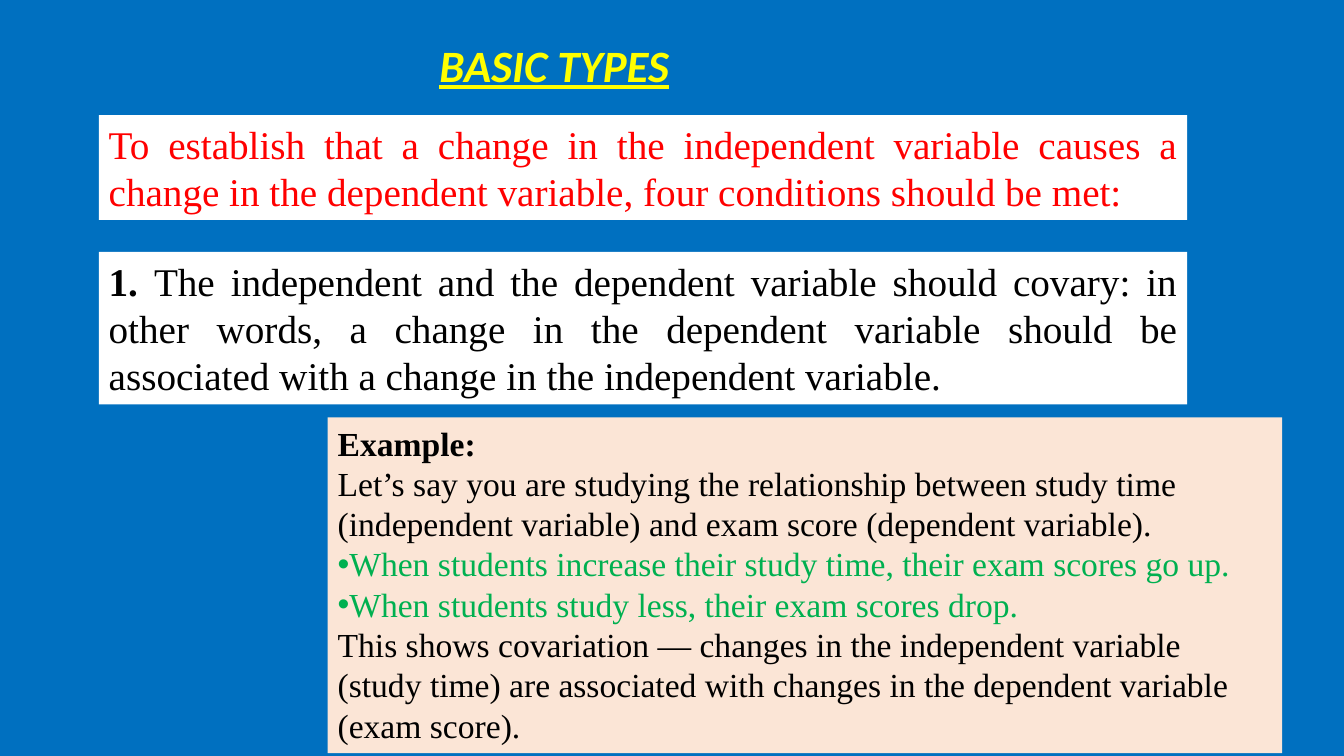
from dataclasses import dataclass
from typing import Optional

from lxml import etree
from pptx import Presentation
from pptx import util as u
from pptx.dml.color import RGBColor
from pptx.enum import shapes, text
from pptx.oxml import ns

BLUE = RGBColor(0x00, 0x70, 0xC0)
YELLOW = RGBColor(0xFF, 0xFF, 0x00)
WHITE = RGBColor(0xFF, 0xFF, 0xFF)
PEACH = RGBColor(0xFB, 0xE5, 0xD6)
RED = RGBColor(0xFF, 0x00, 0x00)
BLACK = RGBColor(0x00, 0x00, 0x00)
GREEN = RGBColor(0x00, 0xB0, 0x50)
ALIGN = text.PP_ALIGN
SERIF = "Times New Roman"


@dataclass
class Run:
    words: str
    color: RGBColor = BLACK
    bold: bool = False
    slant: bool = False
    line: bool = False
    face: str = SERIF
    ends: bool = False


@dataclass
class Para:
    runs: list[Run]
    dot: bool = False


@dataclass
class Panel:
    left: float
    top: float
    width: float
    height: float
    size: int
    paras: list[Para]
    fill: Optional[RGBColor] = WHITE
    align: ALIGN = ALIGN.JUSTIFY
    space: float = 1.0
    anchor: text.MSO_ANCHOR = text.MSO_ANCHOR.TOP


PANELS = [
    Panel(2.82, 0.97, 22.3, 1.5, 32,
          [Para([Run("BASIC TYPES", YELLOW, True, True, True, "Calibri")])],
          None, ALIGN.CENTER, 0.9, text.MSO_ANCHOR.MIDDLE),
    Panel(2.49, 2.9, 27.43, 2.64, 28, [Para([Run(
        "To establish that a change in the independent variable causes "
        "a change in the dependent variable, four conditions should be met:",
        RED)])]),
    Panel(2.49, 6.35, 27.43, 3.84, 28, [Para([
        Run("1. ", bold=True),
        Run("The independent and the dependent variable should covary: in "
            "other words, a change in the dependent variable should be "
            "associated with a change in the independent variable.")])]),
    Panel(8.26, 10.52, 24.05, 8.46, 24, [
        Para([Run("Example:", bold=True, ends=True),
              Run("Let’s say you are studying the relationship between study "
                  "time (independent variable) and exam score (dependent "
                  "variable).")]),
        Para([Run("When students increase their study time, their exam "
                  "scores go up.", GREEN)], True),
        Para([Run("When students study less, their exam scores drop.",
                  GREEN)], True),
        Para([Run("This shows covariation — changes in the independent "
                  "variable (study time) are associated with changes in the "
                  "dependent variable (exam score).")])],
        PEACH, ALIGN.LEFT),
]


def add_dot(para) -> None:
    props = para._p.get_or_add_pPr()
    etree.SubElement(props, ns.qn("a:buFont")).set("typeface", "Arial")
    etree.SubElement(props, ns.qn("a:buChar")).set("char", "•")


def add_run(para, item: Run, size: int) -> None:
    run = para.add_run()
    run.text = item.words
    font = run.font
    font.name, font.size = item.face, u.Pt(size)
    font.bold, font.italic, font.underline = item.bold, item.slant, item.line
    font.color.rgb = item.color
    if item.ends:
        para.add_line_break()


def add_panel(slide, panel: Panel) -> None:
    spot = [u.Cm(n) for n in (panel.left, panel.top, panel.width, panel.height)]
    if panel.fill is None:
        shape = slide.shapes.add_textbox(*spot)
    else:
        shape = slide.shapes.add_shape(shapes.MSO_SHAPE.RECTANGLE, *spot)
        shape.shadow.inherit = False
        shape.fill.solid()
        shape.fill.fore_color.rgb = panel.fill
        shape.line.fill.background()
    frame = shape.text_frame
    frame.word_wrap = True
    frame.vertical_anchor = panel.anchor
    for i, item in enumerate(panel.paras):
        para = frame.add_paragraph() if i else frame.paragraphs[0]
        if item.dot:
            add_dot(para)
        para.alignment = panel.align
        para.line_spacing = panel.space
        for run in item.runs:
            add_run(para, run, panel.size)


def main() -> None:
    deck = Presentation()
    deck.slide_width, deck.slide_height = u.Cm(33.87), u.Cm(19.05)
    slide = deck.slides.add_slide(deck.slide_layouts[6])
    slide.background.fill.solid()
    slide.background.fill.fore_color.rgb = BLUE
    for panel in PANELS:
        add_panel(slide, panel)
    deck.save("out.pptx")


if __name__ == "__main__":
    main()
